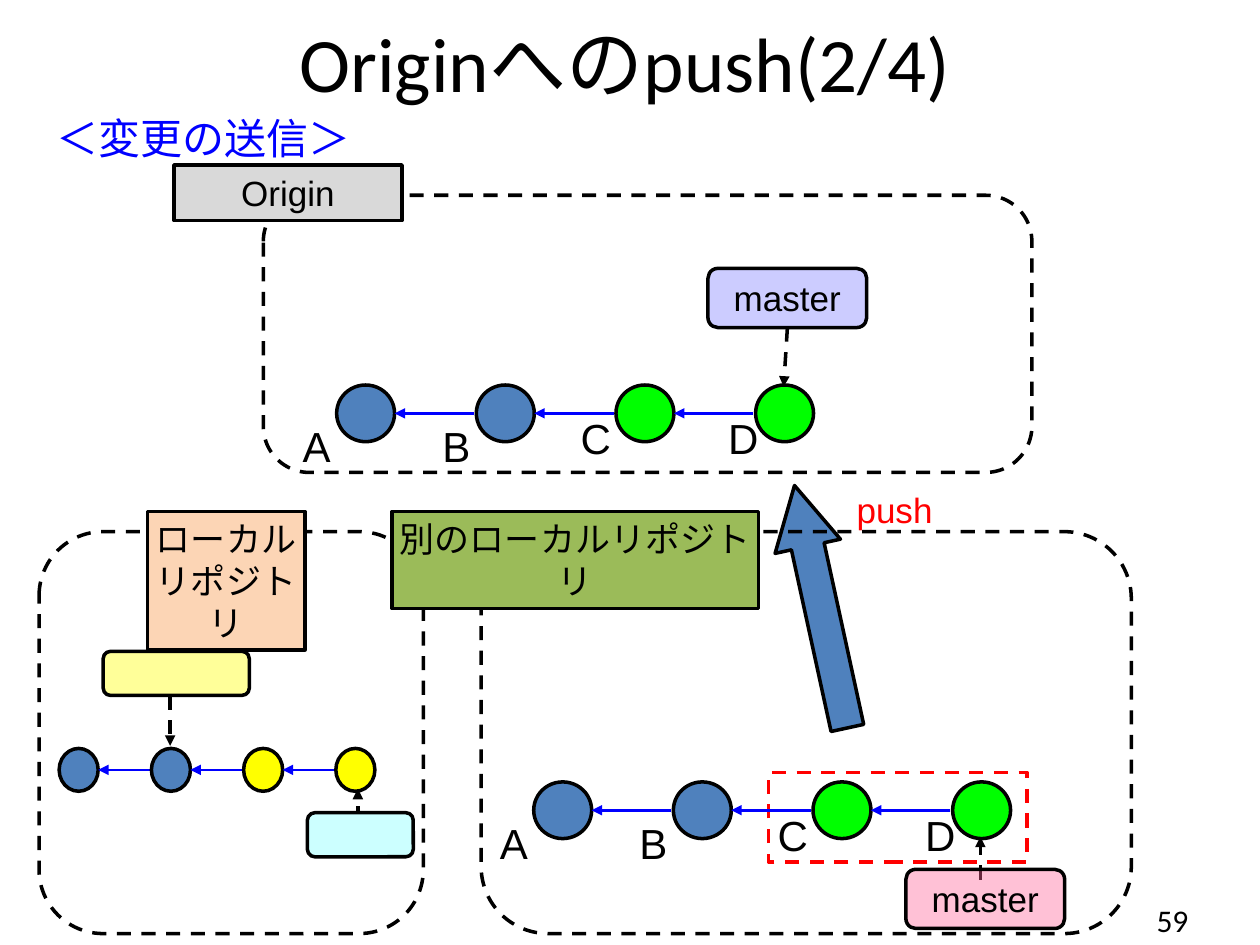
from lxml import etree
from pptx import Presentation
from pptx.dml.color import RGBColor
from pptx.enum.dml import MSO_LINE
from pptx.enum.shapes import MSO_CONNECTOR, MSO_SHAPE
from pptx.enum.text import MSO_ANCHOR, PP_ALIGN
from pptx.oxml.ns import qn
from pptx.util import Pt

RECT, ROUNDED = MSO_SHAPE.RECTANGLE, MSO_SHAPE.ROUNDED_RECTANGLE
OVAL, DOWN_ARROW = MSO_SHAPE.OVAL, MSO_SHAPE.DOWN_ARROW
STRAIGHT, DASH = MSO_CONNECTOR.STRAIGHT, MSO_LINE.DASH
TOP, MIDDLE = MSO_ANCHOR.TOP, MSO_ANCHOR.MIDDLE
LEFT, CENTER, RIGHT = PP_ALIGN.LEFT, PP_ALIGN.CENTER, PP_ALIGN.RIGHT

BLACK = RGBColor(0x00, 0x00, 0x00)
WHITE = RGBColor(0xFF, 0xFF, 0xFF)
RED = RGBColor(0xFF, 0x00, 0x00)
BLUE = RGBColor(0x00, 0x00, 0xFF)
STEEL = RGBColor(0x4F, 0x81, 0xBD)
GREEN = RGBColor(0x00, 0xFF, 0x00)
YELLOW = RGBColor(0xFF, 0xFF, 0x00)
GRAY = RGBColor(0xD9, 0xD9, 0xD9)
PEACH = RGBColor(0xFC, 0xD5, 0xB5)
OLIVE = RGBColor(0x9B, 0xBB, 0x59)
LAVENDER = RGBColor(0xCC, 0xCC, 0xFF)
PINK = RGBColor(0xFF, 0x66, 0x99)
CREAM = RGBColor(0xFF, 0xFF, 0x99)
AQUA = RGBColor(0xCC, 0xFF, 0xFF)

deck = Presentation()
deck.slide_width, deck.slide_height = Pt(720), Pt(540)
slide = deck.slides.add_slide(deck.slide_layouts[5])


def add_box(kind, place, fill=None, line=BLACK, dash=None, text="", size=20,
            font="Arial", color=BLACK, align=CENTER, anchor=TOP,
            margins=(1.4, 3.6), wrap=True):
    """Add a preset shape, or a text box when kind is None."""
    lengths = [Pt(value) for value in place]
    if kind is None:
        box = slide.shapes.add_textbox(*lengths)
    else:
        box = slide.shapes.add_shape(kind, *lengths)
        box.shadow.inherit = False
        if fill is None:
            box.fill.background()
        else:
            box.fill.solid()
            box.fill.fore_color.rgb = fill
        if line is None:
            box.line.fill.background()
        else:
            box.line.color.rgb = line
            box.line.width = Pt(2)
            box.line.dash_style = dash
    if text:
        frame = box.text_frame
        frame.word_wrap = wrap
        frame.vertical_anchor = anchor
        frame.margin_left = frame.margin_right = Pt(margins[0])
        frame.margin_top = frame.margin_bottom = Pt(margins[1])
        para = frame.paragraphs[0]
        para.alignment = align
        span = para.add_run()
        span.text = text
        span.font.size, span.font.name = Pt(size), font
        span.font.color.rgb = color
    return box


def add_arrow(x1, y1, x2, y2, color, width, end, dash=None):
    """Add a line with a triangle at its headEnd (start) or tailEnd (finish)."""
    arrow = slide.shapes.add_connector(STRAIGHT, Pt(x1), Pt(y1), Pt(x2), Pt(y2))
    arrow.line.color.rgb = color
    arrow.line.width = Pt(width)
    arrow.line.dash_style = dash
    etree.SubElement(arrow.line._get_or_add_ln(), qn(f"a:{end}"), type="triangle")
    etree.SubElement(arrow._element.spPr, qn("a:effectLst"))
    return arrow


# Title
title = slide.shapes.title
title.left, title.top, title.width, title.height = Pt(28), Pt(0), Pt(658), Pt(70)
title.text_frame.vertical_anchor = MIDDLE
title_para = title.text_frame.paragraphs[0]
title_para.alignment = CENTER
title_span = title_para.add_run()
title_span.text = "Originへのpush(2/4)"
title_span.font.size, title_span.font.name = Pt(44), "Calibri"
title_span.font.color.rgb = BLACK

# Subtitle and page number
add_box(None, (25.2, 60.5, 442, 36), text="＜変更の送信＞", size=24, font="Calibri",
        color=BLUE, align=LEFT, margins=(7.2, 3.6))
add_box(None, (518.4, 511.2, 167.8, 28.8), text="59", size=18, font="Calibri",
        align=RIGHT, anchor=MIDDLE, margins=(7.2, 3.6))

# Push arrow and its label
push_arrow = add_box(DOWN_ARROW, (450, 275.8, 38.2, 141.8), STEEL)
push_arrow.rotation = 167.7
push_arrow.adjustments[1] = 0.93
add_box(RECT, (482.4, 275.8, 57.6, 31.7), WHITE, None, text="push", color=RED,
        align=LEFT, margins=(7.2, 3.6), wrap=False)

# Repository frames and the pushed commits
for place in ((150.5, 111.6, 439.2, 158.4), (22.3, 303.8, 219.6, 229.7),
              (275, 303.8, 371.5, 229.7)):
    add_box(ROUNDED, place, dash=DASH)
add_box(RECT, (439.2, 441.4, 147.6, 51.1), line=RED, dash=DASH)

# Repository names
for place, fill, name in (
        ((99.4, 94.3, 130.3, 31.7), GRAY, "Origin"),
        ((84.2, 292.3, 90, 79.2), PEACH, "ローカルリポジトリ"),
        ((223.9, 292.3, 209.5, 55.4), OLIVE, "別のローカルリポジトリ")):
    add_box(RECT, place, fill, text=name)

# Branch pointers
origin_pointer = add_arrow(448.6, 187.2, 447.8, 221, BLACK, 2, "tailEnd", DASH)
for x, start, finish in ((560.2, 502.6, 478.1), (97.2, 397.4, 426.2),
                         (204.5, 468.7, 450.7)):
    add_arrow(x, start, x, finish, BLACK, 2, "tailEnd", DASH)

# Branch labels
branches = [add_box(ROUNDED, place, fill, text=name, anchor=MIDDLE,
                    margins=(7.2, 3.6), wrap=False)
            for place, fill, name in (
                ((404.6, 153.4, 90.7, 33.8), LAVENDER, "master"),
                ((517.7, 496.8, 90.7, 33.8), PINK, "master"),
                ((59, 372.2, 83.5, 25.2), CREAM, ""),
                ((175.7, 464.4, 60.5, 25.2), AQUA, ""))]
origin_pointer.begin_connect(branches[0], 2)
pink_fill = branches[1]._element.spPr.find(qn("a:solidFill"))
etree.SubElement(pink_fill[0], qn("a:alpha"), val="40000")

# Commit chains: left, top, step, node width, node height, link length, new colour, names
LABEL_OFFSETS = ((-19.4, 20.2), (-19.4, 20.2), (-20.2, 15.8), (-15.8, 15.8))
for left, top, step, width, height, link, new_color, names in (
        (192.4, 220, 79.8, 33.1, 32.4, 45.4, GREEN, "ABCD"),
        (305, 446.8, 79.8, 33.1, 32.4, 45.4, GREEN, "ABCD"),
        (33.8, 427.7, 52.7, 22.3, 24.5, 30.2, YELLOW, "")):
    for i in range(4):
        x = left + i * step
        add_box(OVAL, (x, top, width, height), STEEL if i < 2 else new_color)
        if i < 3:
            y = top + height / 2
            add_arrow(x + width, y, x + width + link, y, BLUE, 1.5, "headEnd")
    for i, name in enumerate(names):
        dx, dy = LABEL_OFFSETS[i]
        add_box(None, (left + i * step + dx, top + dy, 23, 28.8), text=name,
                size=24, align=LEFT, margins=(0, 0))

deck.save("out.pptx")
